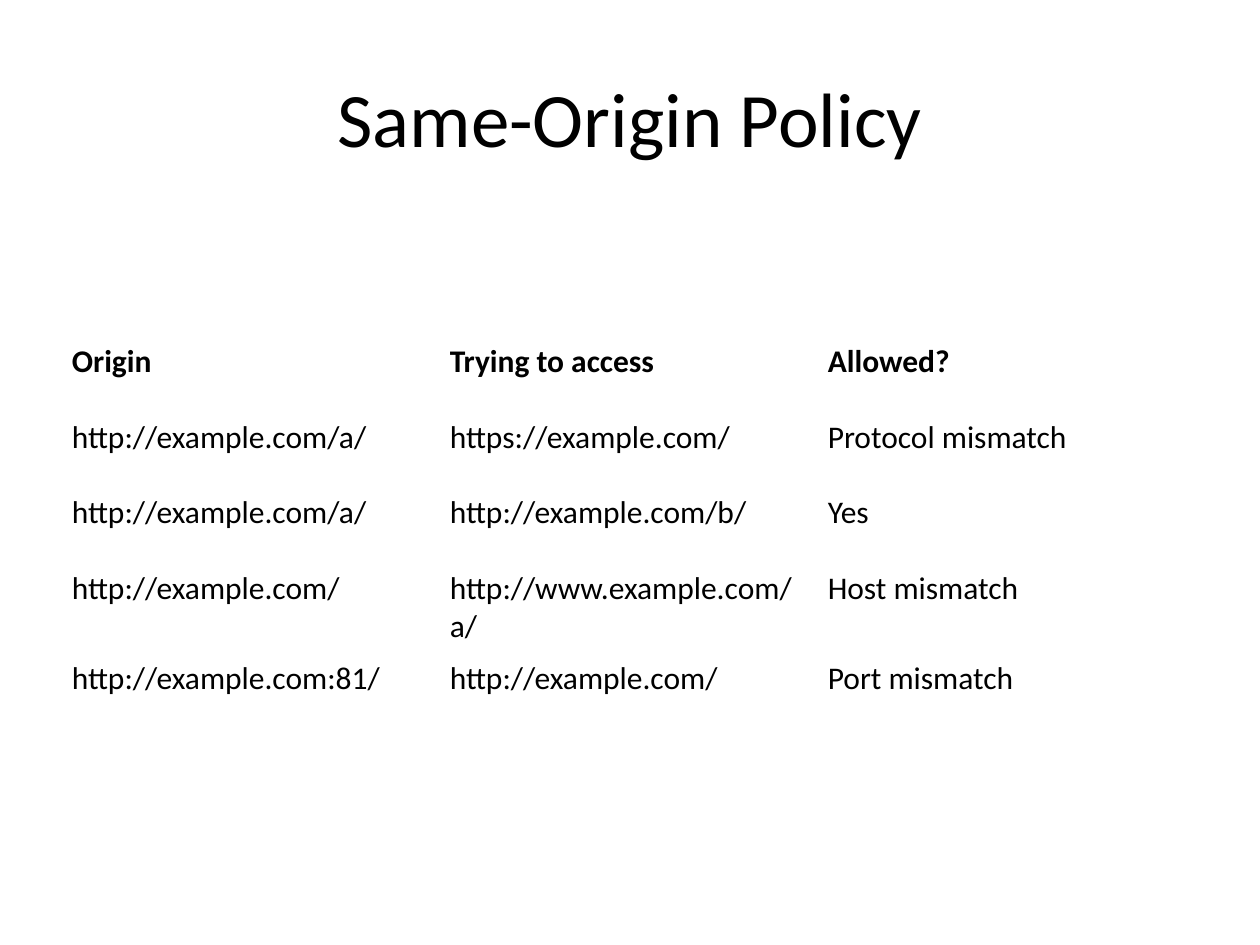
"""Build the Same-Origin Policy slide: a title above a table of access rules."""
from lxml import etree
from pptx import Presentation
from pptx import util as u
from pptx.dml.color import RGBColor
from pptx.enum import text
from pptx.oxml.ns import qn

BLACK = RGBColor(0, 0, 0)
WHITE = RGBColor(255, 255, 255)
ROWS = [
    ("Origin", "Trying to access", "Allowed?"),
    ("http://example.com/a/", "https://example.com/", "Protocol mismatch"),
    ("http://example.com/a/", "http://example.com/b/", "Yes"),
    ("http://example.com/", "http://www.example.com/a/", "Host mismatch"),
    ("http://example.com:81/", "http://example.com/", "Port mismatch"),
]
INSETS = {
    "margin_left": u.Inches(0.07), "margin_right": u.Inches(0.07),
    "margin_top": u.Inches(0.05), "margin_bottom": u.Inches(0.05),
}


def style(font, size, bold=False):
    for key, val in {"name": "Calibri", "size": u.Pt(size), "bold": bold}.items():
        setattr(font, key, val)
    font.color.rgb = BLACK


def edge(cell):
    props = cell._tc.get_or_add_tcPr()
    for side in ("lnL", "lnR", "lnT", "lnB"):
        line = etree.SubElement(props, qn(f"a:{side}"), w=str(u.Pt(1)))
        fill = etree.SubElement(line, qn("a:solidFill"))
        etree.SubElement(fill, qn("a:srgbClr"), val=str(WHITE))


deck = Presentation()
deck.slide_width, deck.slide_height = u.Inches(10), u.Inches(7.5)
wide, high = deck.slide_width, deck.slide_height
left, span = int(wide * 0.05), int(wide * 0.9)
row_h = int(high * 0.08)

slide = deck.slides.add_slide(deck.slide_layouts[5])
slide.background.fill.solid()
slide.background.fill.fore_color.rgb = WHITE

title = slide.shapes.title
place = {"left": left, "top": int(high * 0.04), "width": span, "height": u.Inches(1.25)}
for key, val in place.items():
    setattr(title, key, val)
title.text_frame.text = "Same-Origin Policy"
title.text_frame.vertical_anchor = text.MSO_ANCHOR.MIDDLE
head = title.text_frame.paragraphs[0]
head.alignment = text.PP_ALIGN.CENTER
style(head.runs[0].font, 44)

frame = slide.shapes.add_table(
    len(ROWS), len(ROWS[0]), left, u.Inches(2.67), span, row_h * len(ROWS))
table = frame.table
for r, row in enumerate(ROWS):
    table.rows[r].height = row_h
    for c, words in enumerate(row):
        cell = table.cell(r, c)
        cell.text = words
        for key, val in INSETS.items():
            setattr(cell, key, val)
        edge(cell)
        cell.fill.background()
        style(cell.text_frame.paragraphs[0].runs[0].font, 18, r == 0)

deck.save("out.pptx")
